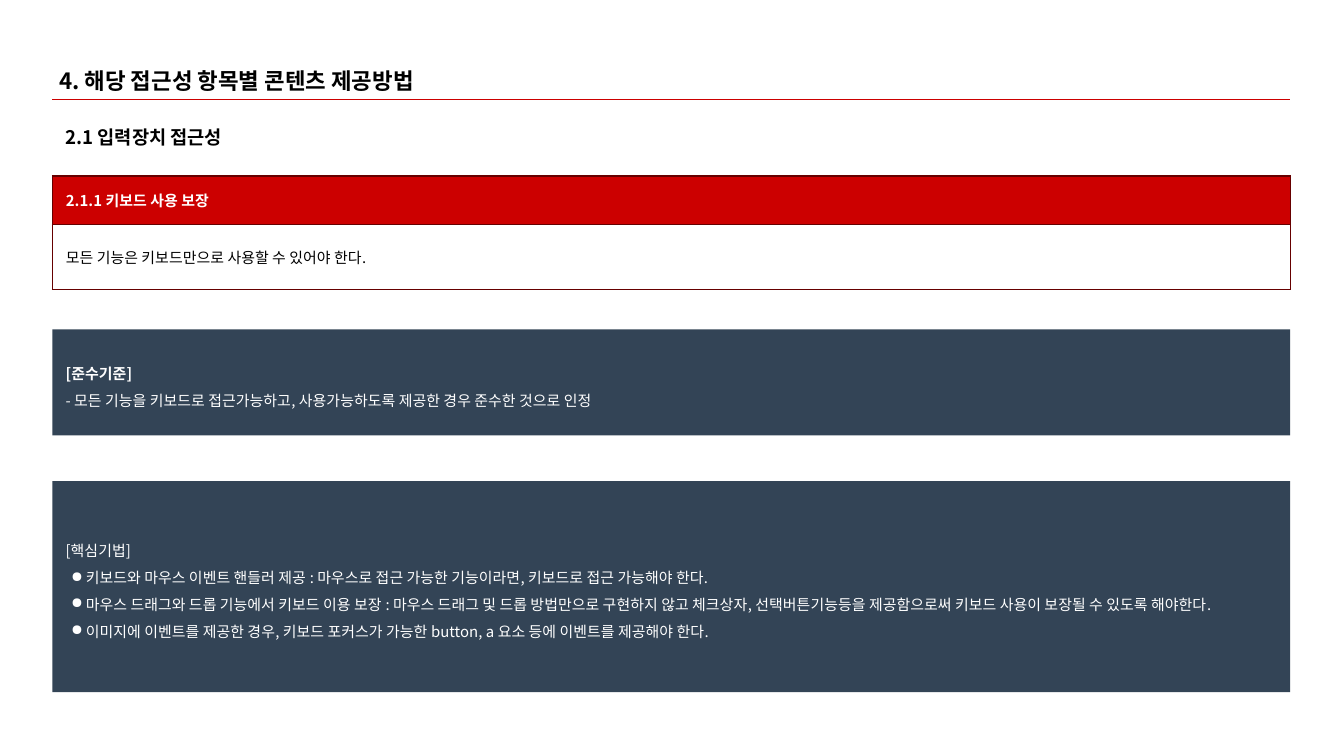
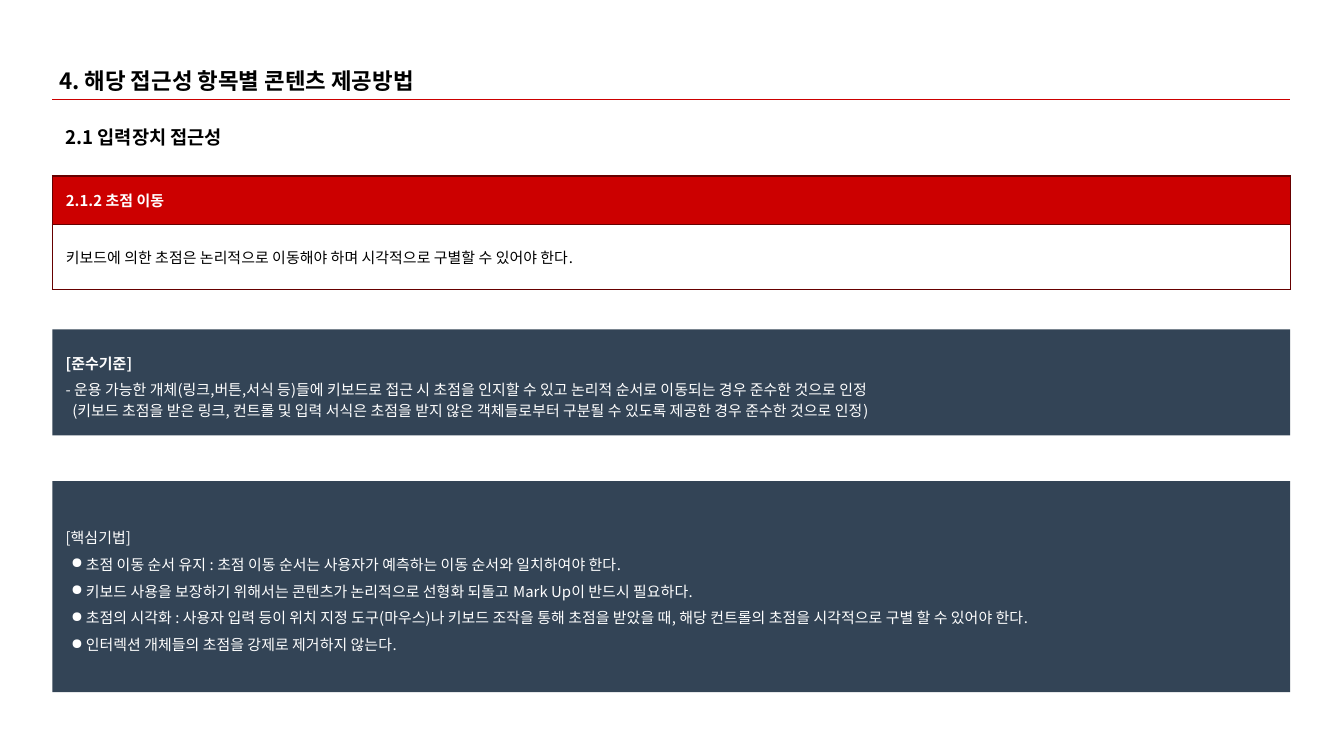
from lxml.etree import SubElement
from pptx import Presentation
from pptx.dml.color import RGBColor
from pptx.enum.shapes import MSO_CONNECTOR as Connector, MSO_SHAPE as Shape
from pptx.enum.text import MSO_ANCHOR as Anchor, MSO_AUTO_SIZE as AutoSize, PP_ALIGN as Align
from pptx.oxml.ns import qn
from pptx.util import Inches, Pt

FONT = "Noto Sans CJK KR"
RED, DARK_RED, NAVY, WHITE, BLACK = "CC0000", "660000", "334456", "FFFFFF", "000000"
LEFT, WIDTH = Inches(0.39), Inches(9.21)
INSET = Inches(0.1)
TITLE = "4. 해당 접근성 항목별 콘텐츠 제공방법"
SECTION = "2.1 입력장치 접근성"

PAGES = [
    {
        "item": "2.1.1 키보드 사용 보장",
        "rule": "모든 기능은 키보드만으로 사용할 수 있어야 한다.",
        "criterion": "- 모든 기능을 키보드로 접근가능하고, 사용가능하도록 제공한 경우 준수한 것으로 인정",
        "remark": None,
        "techniques": [
            "키보드와 마우스 이벤트 핸들러 제공 : 마우스로 접근 가능한 기능이라면, 키보드로 접근 가능해야 한다.",
            "마우스 드래그와 드롭 기능에서 키보드 이용 보장 : 마우스 드래그 및 드롭 방법만으로 구현하지 않고 체크상자, "
            "선택버튼기능등을 제공함으로써 키보드 사용이 보장될 수 있도록 해야한다.",
            "이미지에 이벤트를 제공한 경우, 키보드 포커스가 가능한 button, a 요소 등에 이벤트를 제공해야 한다.",
        ],
    },
    {
        "item": "2.1.2 초점 이동",
        "rule": "키보드에 의한 초점은 논리적으로 이동해야 하며 시각적으로 구별할 수 있어야 한다.",
        "criterion": "- 운용 가능한 개체(링크,버튼,서식 등)들에 키보드로 접근 시 초점을 인지할 수 있고 "
                     "논리적 순서로 이동되는 경우 준수한 것으로 인정",
        "remark": "(키보드 초점을 받은 링크, 컨트롤 및 입력 서식은 초점을 받지 않은 객체들로부터 "
                  "구분될 수 있도록 제공한 경우 준수한 것으로 인정)",
        "techniques": [
            "초점 이동 순서 유지 : 초점 이동 순서는 사용자가 예측하는 이동 순서와 일치하여야 한다.",
            "키보드 사용을 보장하기 위해서는 콘텐츠가 논리적으로 선형화 되돌고 Mark Up이 반드시 필요하다.",
            "초점의 시각화 : 사용자 입력 등이 위치 지정 도구(마우스)나 키보드 조작을 통해 초점을 받았을 때, "
            "해당 컨트롤의 초점을 시각적으로 구별 할 수 있어야 한다.",
            "인터렉션 개체들의 초점을 강제로 제거하지 않는다.",
        ],
    },
]


def color(value):
    return RGBColor.from_string(value)


def write(para, text, size, ink, bold=False, spacing=None, indent=0, hanging=0):
    """Fill a paragraph; a hanging indent brings a round bullet."""
    para.alignment = Align.LEFT
    if spacing:
        para.line_spacing = spacing
    props = para._p.get_or_add_pPr()
    if indent:
        props.set("marL", str(Inches(indent)))
    if hanging:
        props.set("indent", str(-Inches(hanging)))
        SubElement(SubElement(props, qn("a:buClr")), qn("a:srgbClr")).set("val", ink)
        SubElement(props, qn("a:buChar")).set("char", "●")
    font = para.font
    font.size, font.bold, font.name = Pt(size), bold, FONT
    font.color.rgb = color(ink)
    para.add_run().text = text


deck = Presentation()
deck.slide_width = Inches(10)
deck.slide_height = deck.slide_width * 9 // 16

for content in PAGES:
    page = deck.slides.add_slide(deck.slide_layouts[5])

    # Title and section heading
    title = page.shapes.title
    title.left, title.top, title.width, title.height = map(Inches, (0.34, 0.4, 9.32, 0.37))
    section = page.shapes.add_textbox(LEFT, Inches(0.84), WIDTH, Inches(0.27))
    for box, text, size in ((title, TITLE, 12), (section, SECTION, 10)):
        write(box.text_frame.paragraphs[0], text, size, BLACK, bold=True)

    # Red rule under the title
    rule = page.shapes.add_connector(Connector.STRAIGHT, LEFT, Inches(0.74), LEFT + WIDTH, Inches(0.74))
    rule.line.color.rgb = color(RED)
    rule.line.width = Pt(0.75)
    SubElement(rule._element.spPr, qn("a:effectLst"))

    # Navy panels
    panels = []
    for top, height in ((2.45, 0.79), (3.58, 1.57)):
        panel = page.shapes.add_shape(Shape.RECTANGLE, LEFT, Inches(top), WIDTH, Inches(height))
        panel.shadow.inherit = False
        panel.fill.solid()
        panel.fill.fore_color.rgb = color(NAVY)
        panel.line.fill.background()
        panels.append(panel)

    for box in (title, section, *panels):
        frame = box.text_frame
        frame.word_wrap, frame.auto_size = True, AutoSize.NONE
        frame.vertical_anchor = Anchor.MIDDLE if box in panels else Anchor.TOP
        frame.margin_left = frame.margin_right = frame.margin_top = frame.margin_bottom = INSET

    # Compliance criterion
    criteria, techniques = (panel.text_frame for panel in panels)
    para = criteria.paragraphs[0]
    write(para, "[준수기준]", 8, WHITE, spacing=1.5)
    para.runs[0].font.bold = True
    para.add_line_break()
    para.add_run().text = content["criterion"]
    if content["remark"]:
        write(criteria.add_paragraph(), content["remark"], 8, WHITE, spacing=1.15, indent=0.05)

    # Key techniques
    write(techniques.paragraphs[0], "[핵심기법]", 8, WHITE, spacing=1.5)
    for technique in content["techniques"]:
        write(techniques.add_paragraph(), technique, 8, WHITE, spacing=1.5, indent=0.15, hanging=0.11)

    # Item table
    table = page.shapes.add_table(2, 1, LEFT, Inches(1.31), WIDTH, Inches(0.79)).table
    table.first_row = table.horz_banding = False
    rows = ((content["item"], 0.31, WHITE, True), (content["rule"], 0.48, BLACK, False))
    for index, (text, height, ink, heading) in enumerate(rows):
        table.rows[index].height = Inches(height)
        cell = table.cell(index, 0)
        cell.vertical_anchor = Anchor.MIDDLE
        cell.margin_left = cell.margin_right = cell.margin_top = cell.margin_bottom = INSET
        write(cell.text_frame.paragraphs[0], text, 8, ink, bold=heading)
        cell_props = cell._tc.get_or_add_tcPr()
        for side in ("lnL", "lnR", "lnT", "lnB"):
            border = SubElement(cell_props, qn(f"a:{side}"), w=str(Pt(0.75)))
            SubElement(SubElement(border, qn("a:solidFill")), qn("a:srgbClr")).set("val", DARK_RED)
        if heading:
            cell.fill.solid()
            cell.fill.fore_color.rgb = color(RED)
        else:
            cell.fill.background()

deck.save("out.pptx")
